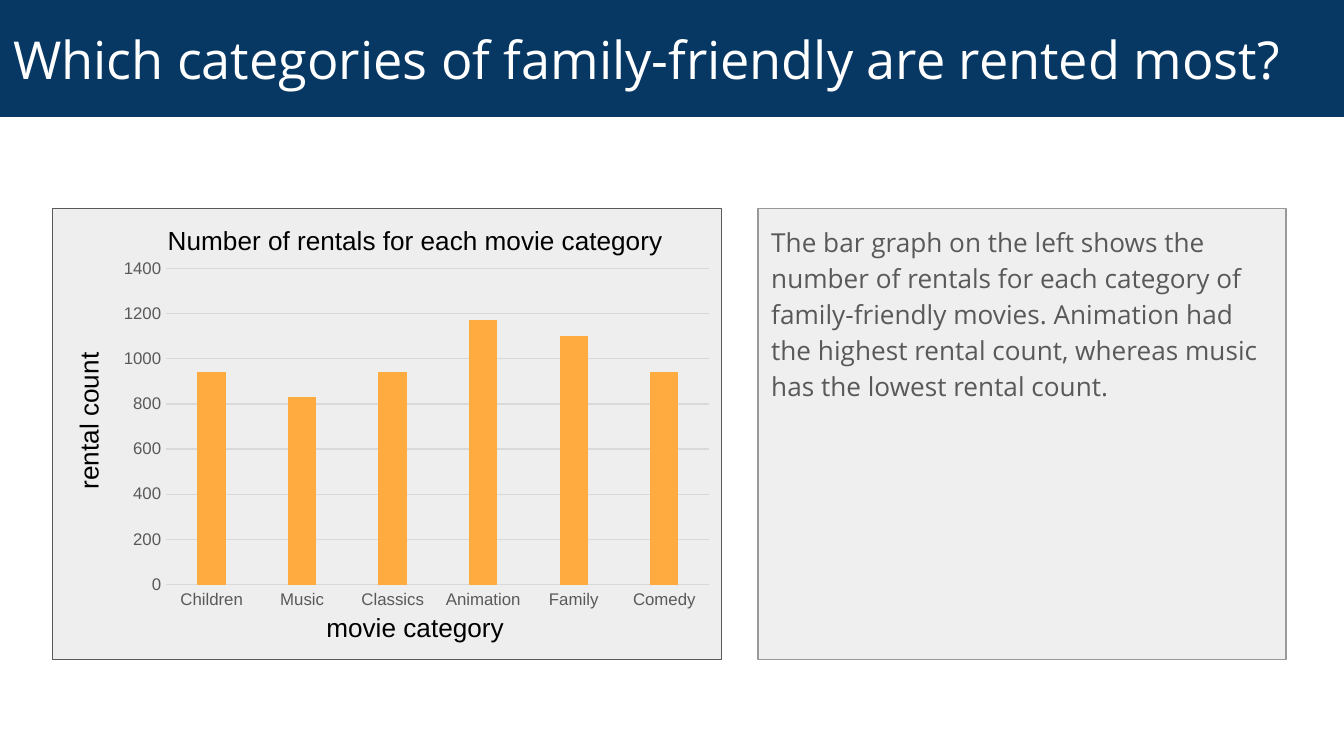
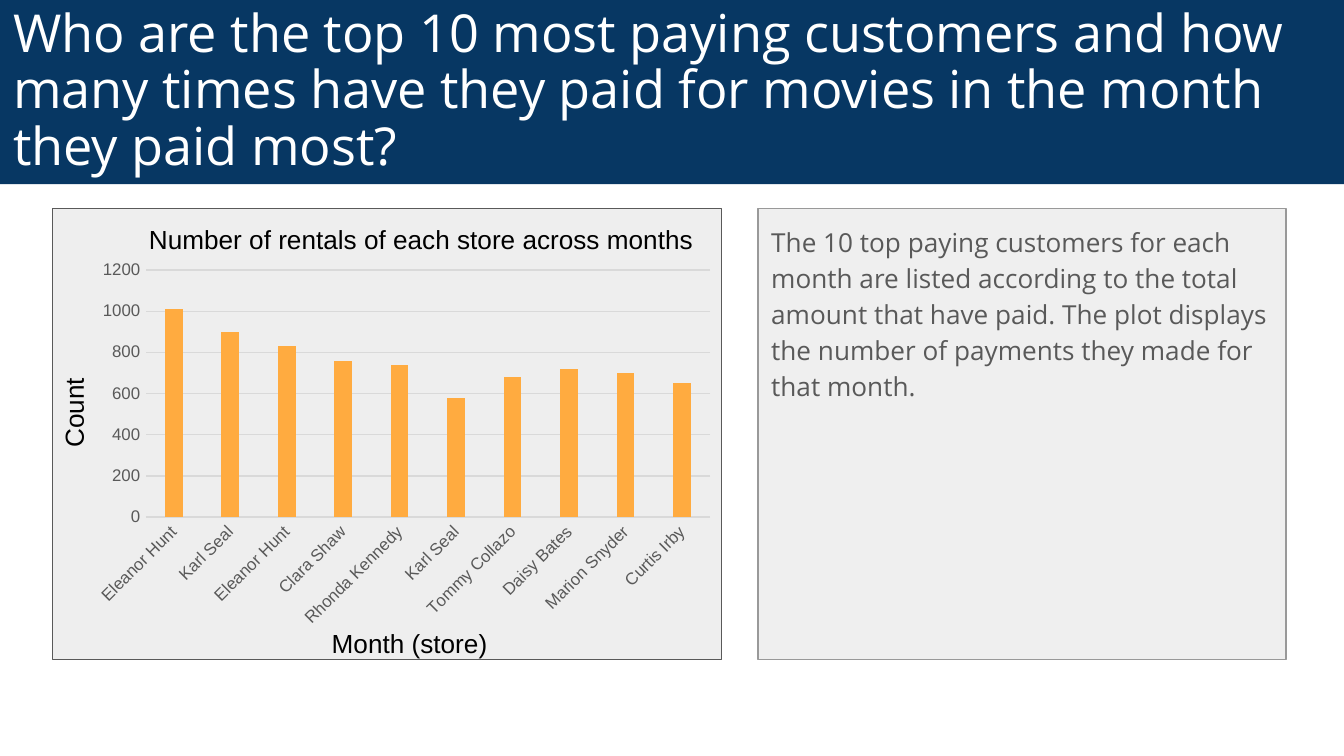
from dataclasses import dataclass

from pptx import Presentation
from pptx.chart.data import CategoryChartData
from pptx.dml.color import RGBColor
from pptx.enum.chart import XL_CHART_TYPE, XL_TICK_MARK
from pptx.enum.shapes import MSO_SHAPE
from pptx.enum.text import MSO_ANCHOR, MSO_AUTO_SIZE, PP_ALIGN
from pptx.util import Inches, Pt

SLIDES = [
    {
        "title": "Which categories of family-friendly are rented most?",
        "band_rows": 8.7,
        "title_spacing": 1.0,
        "body": "The bar graph on the left shows the number of rentals for each "
                "category of family-friendly movies. Animation had the highest rental "
                "count, whereas music has the lowest rental count.",
        "chart": {
            "place": (8.3, 18.7, 45.4, 27.2),
            "bars": [("Children", 940), ("Music", 830), ("Classics", 940),
                     ("Animation", 1170), ("Family", 1100), ("Comedy", 940)],
            "maximum": 1400,
            "label_angle": 0,
        },
        "captions": [
            ("rental count", (0.5, 29.6, 12.2, 3.4), 270),
            ("Number of rentals for each movie category", (11.5, 16.2, 39, 3.4), 0),
            ("movie category", (23.3, 45, 15.3, 3.4), 0),
        ],
    },
    {
        "title": "Who are the top 10 most paying customers and how many times have "
                 "they paid for movies in the month they paid most?",
        "band_rows": 13.7,
        "title_spacing": 0.9,
        "body": "The 10 top paying customers for each month are listed according to "
                "the total amount that have paid. The plot displays the number of "
                "payments they made for that month.",
        "chart": {
            "place": (6.3, 18.8, 47.5, 28.5),
            "bars": [("Eleanor Hunt", 1010), ("Karl Seal", 900), ("Eleanor Hunt", 830),
                     ("Clara Shaw", 760), ("Rhonda Kennedy", 740), ("Karl Seal", 580),
                     ("Tommy Collazo", 680), ("Daisy Bates", 720),
                     ("Marion Snyder", 700), ("Curtis Irby", 650)],
            "maximum": 1200,
            "label_angle": -45,
        },
        "captions": [
            ("Number of rentals of each store across months", (10.1, 16.1, 42.7, 3.4), 0),
            ("Count", (1.9, 29, 7.2, 3.4), 270),
            ("Month (store)", (23.7, 46.2, 13.6, 3.4), 0),
        ],
    },
]


@dataclass(frozen=True)
class Theme:
    navy: str = "073763"
    white: str = "FFFFFF"
    black: str = "000000"
    text_grey: str = "595959"
    edge_grey: str = "999999"
    body_fill: str = "EFEFEF"
    chart_fill: str = "EEEEEE"
    grid_grey: str = "D9D9D9"
    orange: str = "FFAB40"
    heading_font: str = "Open Sans"
    chart_font: str = "Arial"
    title_size: int = 28
    text_size: int = 14
    chart_size: int = 10
    axis_size: int = 9
    line_width: float = 0.75


THEME = Theme()
COLUMNS, ROWS = 100, 56.25
PANEL_TOP, PANEL_ROWS = 15.5, 33.6
CHART_PANEL = (3.9, PANEL_TOP, 49.8, PANEL_ROWS)
BODY_PANEL = (56.4, PANEL_TOP, 39.3, PANEL_ROWS)

presentation = Presentation()
presentation.slide_width = Inches(10)
presentation.slide_height = Inches(5.625)


def on_grid(place):
    column = presentation.slide_width / COLUMNS
    row = presentation.slide_height / ROWS
    return [round(length * unit) for length, unit in zip(place, (column, row) * 2)]


def style_font(font, name, size, color):
    font.name = name
    font.size = Pt(size)
    font.color.rgb = RGBColor.from_string(color)


def style_line(line, color):
    line.color.rgb = RGBColor.from_string(color)
    line.width = Pt(THEME.line_width)


def write(shape, text, name, size, color):
    paragraph = shape.text_frame.paragraphs[0]
    paragraph.alignment = PP_ALIGN.LEFT
    run = paragraph.add_run()
    run.text = text
    style_font(run.font, name, size, color)
    return paragraph


def add_panel(slide, place, fill, edge=None):
    shape = slide.shapes.add_shape(MSO_SHAPE.RECTANGLE, *on_grid(place))
    shape.shadow.inherit = False
    shape.fill.solid()
    shape.fill.fore_color.rgb = RGBColor.from_string(fill)
    if edge:
        style_line(shape.line, edge)
    else:
        shape.line.fill.background()
    frame = shape.text_frame
    frame.word_wrap = True
    frame.vertical_anchor = MSO_ANCHOR.TOP
    frame.margin_left = frame.margin_right = Inches(0.1)
    frame.margin_top = frame.margin_bottom = Inches(0.1)
    return shape


def add_body(slide, text):
    panel = add_panel(slide, BODY_PANEL, THEME.body_fill, THEME.edge_grey)
    paragraph = write(panel, text, THEME.heading_font, THEME.text_size, THEME.text_grey)
    paragraph.line_spacing = 1.15
    paragraph.space_after = Pt(16)


def add_title(slide, text, rows, spacing):
    band = add_panel(slide, (0, 0, COLUMNS, rows), THEME.navy)
    frame = band.text_frame
    frame.vertical_anchor = MSO_ANCHOR.MIDDLE
    frame.margin_top = frame.margin_bottom = Inches(0.05)
    paragraph = write(band, text, THEME.heading_font, THEME.title_size, THEME.white)
    paragraph.line_spacing = spacing


def add_caption(slide, text, place, rotation):
    box = slide.shapes.add_textbox(*on_grid(place))
    box.rotation = rotation
    box.text_frame.word_wrap = False
    box.text_frame.auto_size = MSO_AUTO_SIZE.SHAPE_TO_FIT_TEXT
    write(box, text, THEME.chart_font, THEME.text_size, THEME.black)


def add_bar_chart(slide, place, bars, maximum, label_angle):
    data = CategoryChartData()
    for category, _ in bars:
        data.add_category(category)
    data.add_series("Series 1", [count for _, count in bars])
    chart = slide.shapes.add_chart(
        XL_CHART_TYPE.COLUMN_CLUSTERED, *on_grid(place), data).chart
    chart.has_title = False
    chart.has_legend = False
    style_font(chart.font, THEME.chart_font, THEME.chart_size, THEME.black)

    plot = chart.plots[0]
    plot.gap_width = 219
    plot.overlap = -27
    plot.vary_by_categories = False
    fill = plot.series[0].format.fill
    fill.solid()
    fill.fore_color.rgb = RGBColor.from_string(THEME.orange)

    for axis in (chart.category_axis, chart.value_axis):
        axis.major_tick_mark = axis.minor_tick_mark = XL_TICK_MARK.NONE
        style_font(axis.tick_labels.font, THEME.chart_font, THEME.axis_size,
                   THEME.text_grey)
    style_line(chart.category_axis.format.line, THEME.grid_grey)
    if label_angle:
        label_body = chart.category_axis._element.txPr.bodyPr
        label_body.set("rot", str(label_angle * 60000))
        label_body.set("vert", "horz")

    value_axis = chart.value_axis
    value_axis.minimum_scale = 0
    value_axis.maximum_scale = maximum
    value_axis.major_unit = 200
    value_axis.format.line.fill.background()
    value_axis.has_major_gridlines = True
    style_line(value_axis.major_gridlines.format.line, THEME.grid_grey)


for content in SLIDES:
    slide = presentation.slides.add_slide(presentation.slide_layouts[6])
    add_body(slide, content["body"])
    add_panel(slide, CHART_PANEL, THEME.chart_fill, THEME.text_grey)
    add_title(slide, content["title"], content["band_rows"], content["title_spacing"])
    add_bar_chart(slide, **content["chart"])
    for caption in content["captions"]:
        add_caption(slide, *caption)

presentation.save("out.pptx")
